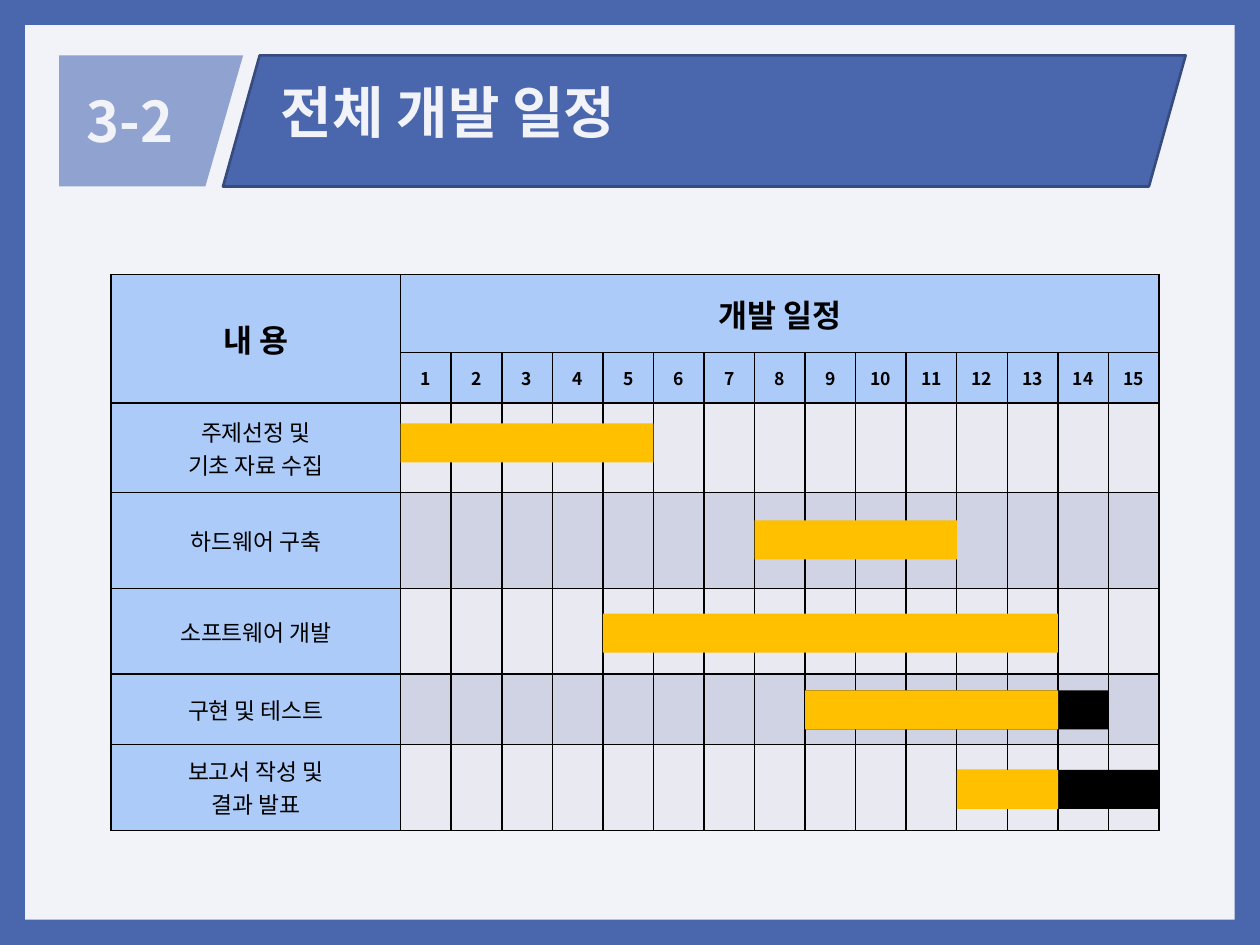
from lxml.etree import SubElement
from pptx import Presentation
from pptx.dml.color import RGBColor
from pptx.enum.shapes import MSO_SHAPE
from pptx.enum.text import MSO_ANCHOR, MSO_AUTO_SIZE, PP_ALIGN
from pptx.oxml.ns import qn
from pptx.util import Inches, Pt

FONT = "Noto Sans CJK KR"
BLUE = RGBColor(0x4A, 0x66, 0xAC)
NAVY = RGBColor(0x37, 0x4B, 0x7F)
PALE = RGBColor(0xF1, 0xF3, 0xF9)
SOFT = RGBColor(0x90, 0xA2, 0xCF)
SKY = RGBColor(0xAC, 0xCB, 0xF9)
LIGHT = RGBColor(0xE9, 0xEA, 0xF1)
GREY = RGBColor(0xD0, 0xD3, 0xE3)
GOLD = RGBColor(0xFF, 0xC0, 0x00)
BLACK = RGBColor(0, 0, 0)

LEFT, TOP, LABEL = 0.88, 2.18, 2.3
WEEKS = 15
STEP = 6.02 / WEEKS
ROWS = [0.62, 0.4, 0.71, 0.76, 0.68, 0.56, 0.68]
TASKS = ["주제선정 및\n기초 자료 수집", "하드웨어 구축", "소프트웨어 개발",
         "구현 및 테스트", "보고서 작성 및\n결과 발표"]
BAR_TOPS = [3.36, 4.13, 4.87, 5.48, 6.11]
PLANS = [(3, 9, 14), (4, 12, 15)]
DONE = [(0, 1, 5), (1, 8, 11), (2, 5, 13), (3, 9, 13), (4, 12, 13)]


def style(frame, size, color, bold):
    for para in frame.paragraphs:
        for run in para.runs:
            font = run.font
            font.size, font.bold, font.name = Pt(size), bold, FONT
            font.color.rgb = color
            SubElement(font._element, qn("a:ea"), typeface=FONT)


def paint(shape, fill, line=None):
    shape.shadow.inherit = False
    shape.fill.solid()
    shape.fill.fore_color.rgb = fill
    if line:
        shape.line.color.rgb = line
        shape.line.width = Pt(1.5)
    else:
        shape.line.fill.background()


def block(slide, kind, box, fill, line=None):
    shape = slide.shapes.add_shape(kind, *map(Inches, box))
    paint(shape, fill, line)
    return shape


def title(slide, box, text):
    frame = slide.shapes.add_textbox(*map(Inches, box)).text_frame
    frame.word_wrap = True
    frame.auto_size = MSO_AUTO_SIZE.SHAPE_TO_FIT_TEXT
    frame.text = text
    style(frame, 32, PALE, True)


def header(slide):
    band = block(slide, MSO_SHAPE.PARALLELOGRAM, (1.77, 0.44, 7.64, 1.04), BLUE, NAVY)
    band.adjustments[0] = 0.28
    title(slide, (2.13, 0.57, 6.97, 0.64), "전체 개발 일정")
    path = slide.shapes.build_freeform(Inches(0.47), Inches(0.44))
    path.add_line_segments([(Inches(x), Inches(y)) for x, y in
                            [(1.93, 0.44), (1.63, 1.48), (0.47, 1.48)]])
    paint(path.convert_to_shape(), SOFT)
    title(slide, (0.59, 0.64, 1.42, 0.64), "3-2")


def edge(cell):
    props = cell._tc.get_or_add_tcPr()
    for side in ("lnL", "lnR", "lnT", "lnB"):
        line = SubElement(props, qn(f"a:{side}"), w=str(Pt(1)))
        fill = SubElement(line, qn("a:solidFill"))
        SubElement(fill, qn("a:srgbClr"), val=str(BLACK))


def write(cell, text, size, bold):
    cell.vertical_anchor = MSO_ANCHOR.MIDDLE
    cell.text_frame.text = text
    for para in cell.text_frame.paragraphs:
        para.alignment = PP_ALIGN.CENTER
    style(cell.text_frame, size, BLACK, bold)


def shade(row, col):
    if row < 2 or col == 0:
        return SKY
    return GREY if row % 2 else LIGHT


def schedule(slide):
    box = (LEFT, TOP, LABEL + WEEKS * STEP, sum(ROWS))
    table = slide.shapes.add_table(len(ROWS), WEEKS + 1, *map(Inches, box)).table
    for col, item in enumerate(table.columns):
        item.width = Inches(STEP if col else LABEL)
    for row, item in enumerate(table.rows):
        item.height = Inches(ROWS[row])
        for col, cell in enumerate(item.cells):
            edge(cell)
            cell.fill.solid()
            cell.fill.fore_color.rgb = shade(row, col)
    table.cell(0, 0).merge(table.cell(1, 0))
    table.cell(0, 1).merge(table.cell(0, WEEKS))
    write(table.cell(0, 0), "내 용", 18, True)
    write(table.cell(0, 1), "개발 일정", 18, True)
    for week in range(1, WEEKS + 1):
        write(table.cell(1, week), str(week), 10, True)
    for row, task in enumerate(TASKS, 2):
        write(table.cell(row, 0), task, 13, False)


def bars(slide, spans, color):
    for task, first, last in spans:
        left = LEFT + LABEL + (first - 1) * STEP
        width = (last - first + 1) * STEP
        block(slide, MSO_SHAPE.RECTANGLE, (left, BAR_TOPS[task], width, 0.31), color)


def main():
    deck = Presentation()
    deck.slide_width, deck.slide_height = Inches(10), Inches(7.5)
    slide = deck.slides.add_slide(deck.slide_layouts[6])
    slide.background.fill.solid()
    slide.background.fill.fore_color.rgb = BLUE
    block(slide, MSO_SHAPE.RECTANGLE, (0.2, 0.2, 9.6, 7.1), PALE)
    header(slide)
    schedule(slide)
    bars(slide, PLANS, BLACK)
    bars(slide, DONE, GOLD)
    deck.save("out.pptx")


if __name__ == "__main__":
    main()
